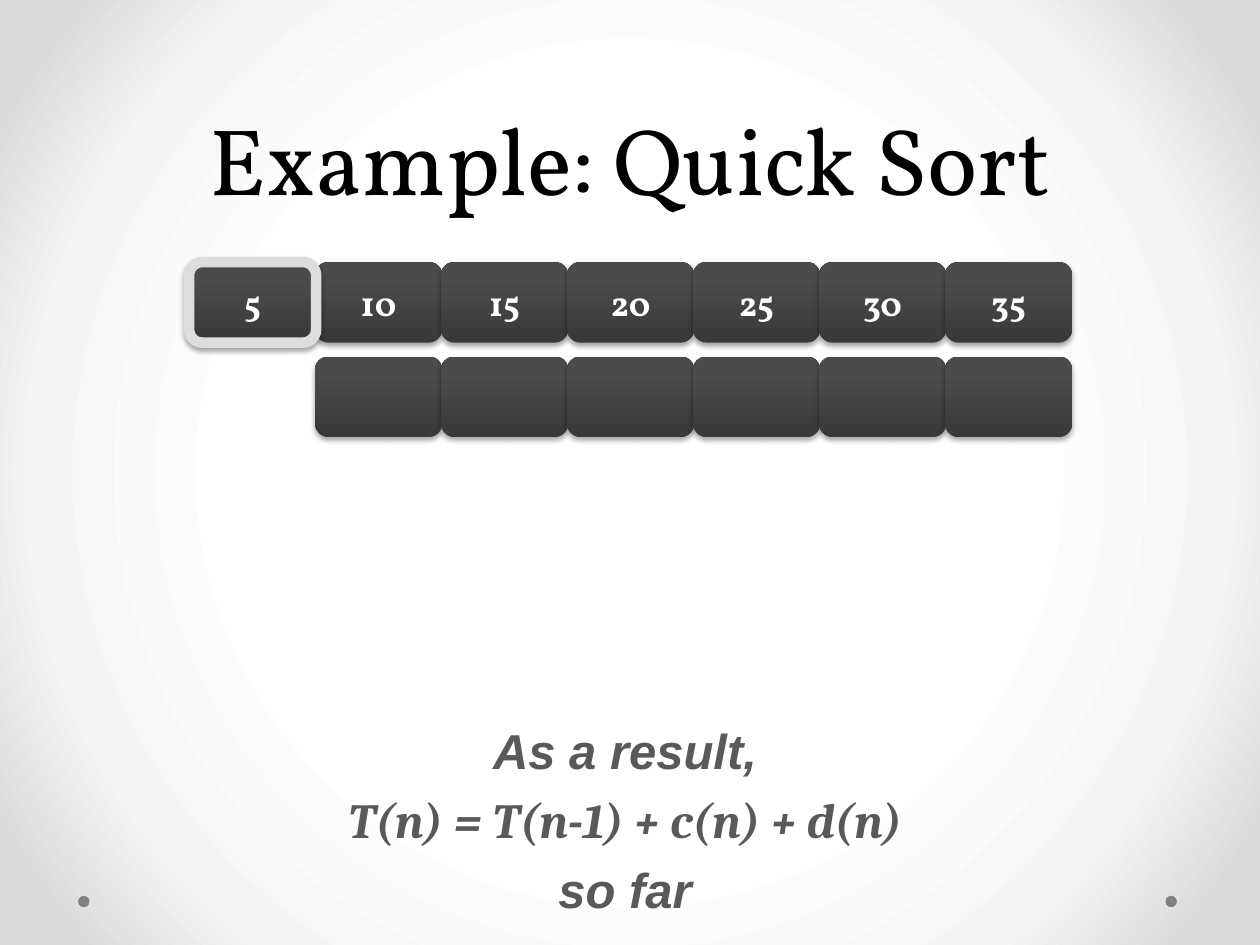
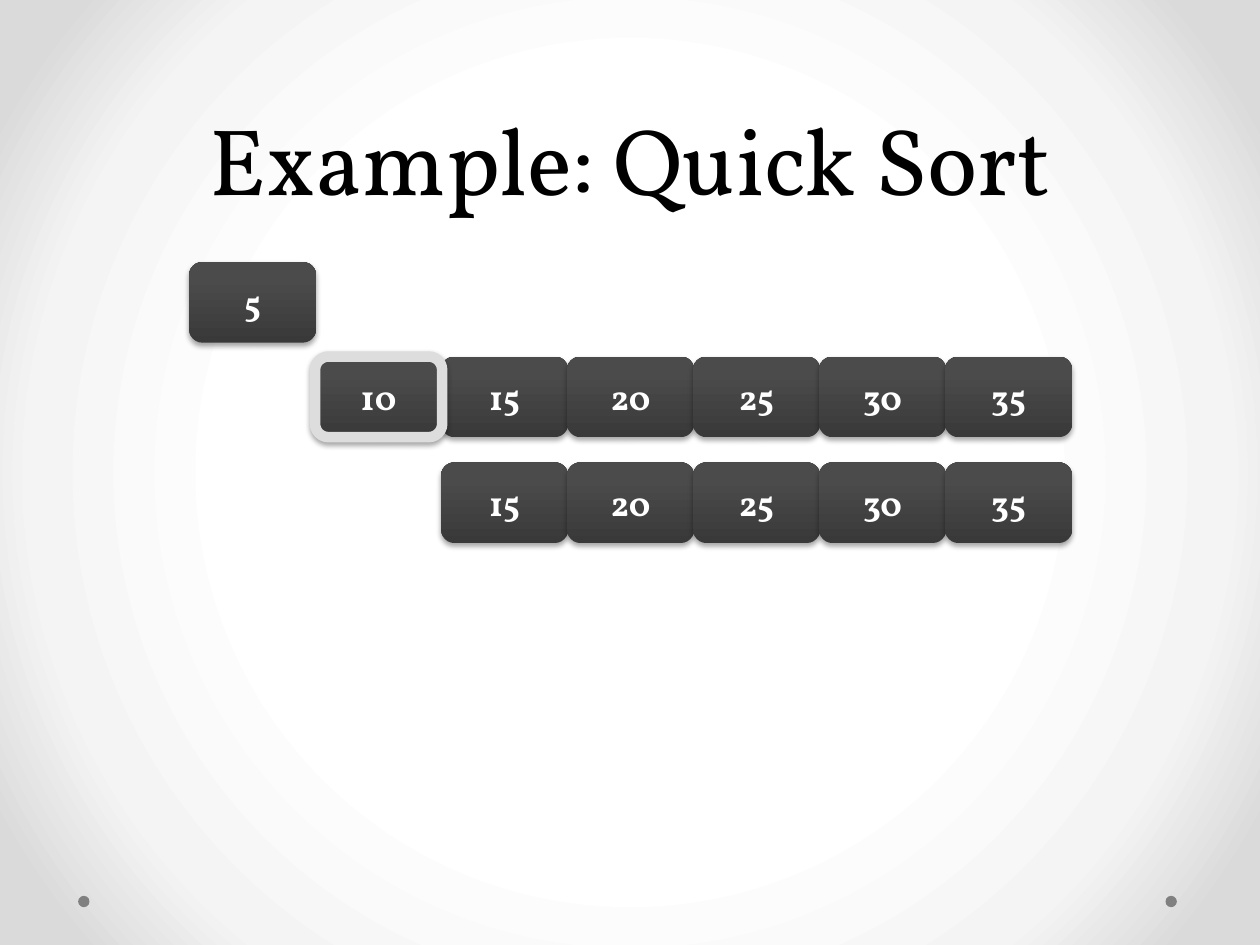
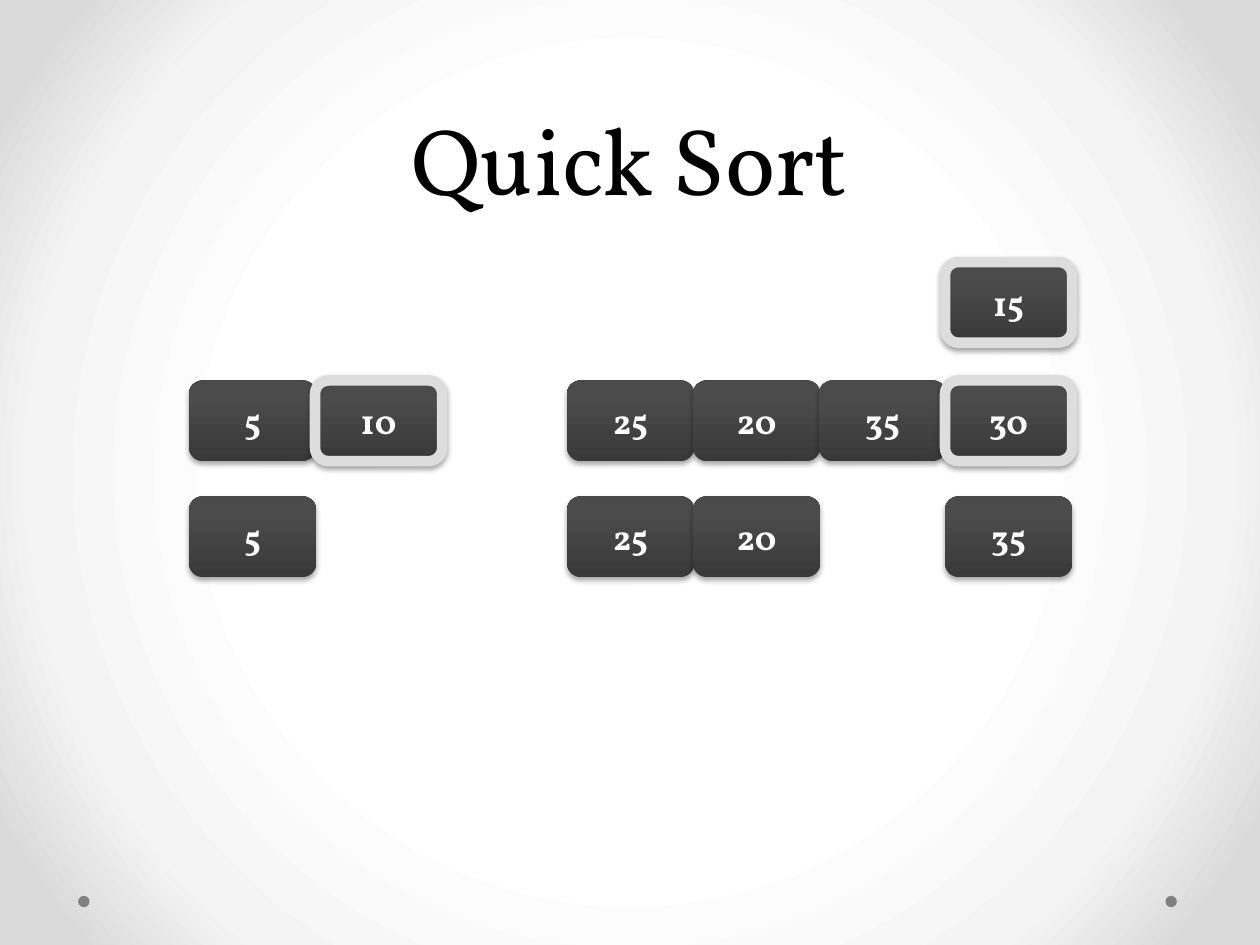
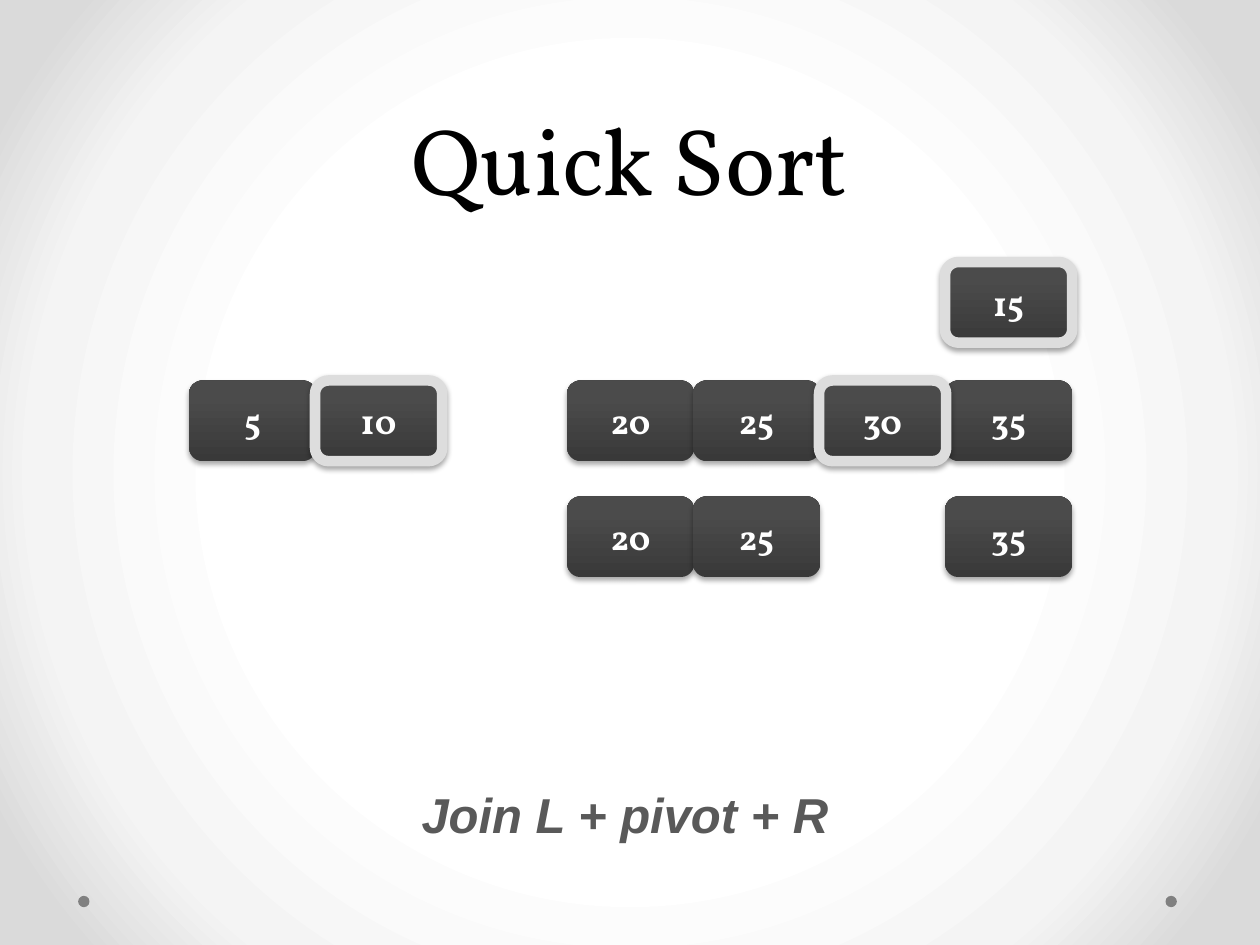
from pptx import Presentation
from pptx.dml.color import RGBColor
from pptx.enum.shapes import MSO_SHAPE
from pptx.enum.text import MSO_ANCHOR, MSO_AUTO_SIZE, PP_ALIGN
from pptx.oxml import parse_xml
from pptx.oxml.ns import nsdecls, qn
from pptx.util import Inches, Pt

# Shared look
BLACK, WHITE, DOT, CAPTION = "000000", "FFFFFF", "808080", "595959"
TILE_BOTTOM, TILE_TOP, PIVOT_LINE = "393939", "4B4B4B", "DDDDDD"
BACKGROUND = [(50, "FFFFFF"), (76, "F4F4F4"), (92, "DADADA")]
SERIF, SANS, MATH = "Vollkorn", "Arial", "Cambria"

# Tile grid, in inches
GRID_LEFT, COLUMN, TILE_W, TILE_H = 1.5, 1, 1.01, 0.64
TIGHT_ROWS = (2.08, 2.83, 3.67)
WIDE_ROWS = (2.08, 3.02, 3.94)


def rgb(value):
    return RGBColor.from_string(value)


def place(shape, left, top, width, height):
    shape.left, shape.top = Inches(left), Inches(top)
    shape.width, shape.height = Inches(width), Inches(height)


def style(p, font, size, color, bold=False, italic=False):
    p.alignment = PP_ALIGN.CENTER
    p.font.name, p.font.size = font, Pt(size)
    p.font.bold, p.font.italic = bold, italic
    p.font.color.rgb = rgb(color)


def set_background(master):
    """Radial gradient behind every slide."""
    stops = "".join(f'<a:gs pos="{pos * 1000}"><a:srgbClr val="{color}"/></a:gs>'
                    for pos, color in BACKGROUND)
    bg = parse_xml(
        f'<p:bg {nsdecls("p", "a")}><p:bgPr><a:gradFill rotWithShape="1">'
        f'<a:gsLst>{stops}</a:gsLst><a:path path="circle">'
        '<a:fillToRect l="50000" t="50000" r="50000" b="50000"/></a:path>'
        '</a:gradFill><a:effectLst/></p:bgPr></p:bg>')
    c_sld = master.element.find(qn("p:cSld"))
    for old in c_sld.findall(qn("p:bg")):
        c_sld.remove(old)
    c_sld.insert(0, bg)


def add_master_dots(master, slide):
    """Draw the two corner dots and hand them over to the master."""
    tree = master.shapes.element
    for i, left in enumerate((9.25, 0.62)):
        dot = slide.shapes.add_shape(MSO_SHAPE.OVAL, Inches(left), Inches(7.11),
                                     Inches(0.09), Inches(0.09))
        dot.shadow.inherit = False
        dot.fill.solid()
        dot.fill.fore_color.rgb = rgb(DOT)
        dot.line.fill.background()
        dot.element.nvSpPr.cNvPr.set("id", str(100 + i))
        tree.insert(2 + i, dot.element)


def add_title(slide, text):
    title = slide.shapes.title
    title.text_frame.text = text
    p = title.text_frame.paragraphs[0]
    style(p, SERIF, 54, BLACK)
    p.line_spacing = Pt(58)


def add_tile(slide, left, top, text, pivot):
    sp = slide.shapes.add_shape(MSO_SHAPE.ROUNDED_RECTANGLE, Inches(left), Inches(top),
                                Inches(TILE_W), Inches(TILE_H))
    sp.fill.gradient()
    sp.fill.gradient_angle = 90
    for stop, pos, color in zip(sp.fill.gradient_stops, (0, 0.8), (TILE_BOTTOM, TILE_TOP)):
        stop.position, stop.color.rgb = pos, rgb(color)
    if pivot:
        sp.line.color.rgb = rgb(PIVOT_LINE)
        sp.line.width = Pt(6)
    else:
        sp.line.fill.background()
    # Soft shadow straight below
    sp.shadow.inherit = False
    sp.element.spPr.find(qn("a:effectLst")).append(parse_xml(
        f'<a:outerShdw {nsdecls("a")} blurRad="{Pt(3.1)}" dist="{Pt(1.8)}" dir="5400000" '
        f'rotWithShape="0"><a:srgbClr val="{BLACK}"><a:alpha val="35000"/></a:srgbClr>'
        '</a:outerShdw>'))
    if text:
        tf = sp.text_frame
        tf.vertical_anchor = MSO_ANCHOR.MIDDLE
        tf.text = text
        style(tf.paragraphs[0], SERIF, 20, WHITE, bold=True)


def add_row(slide, top, cells):
    """One token a column: '.' no tile, '_' blank tile, '*' marks a pivot."""
    tiles = [(col, cell) for col, cell in enumerate(cells.split()) if cell != "."]
    # Pivots go last, so that their outline lies on top
    for col, cell in sorted(tiles, key=lambda tile: tile[1].startswith("*")):
        add_tile(slide, GRID_LEFT + col * COLUMN, top, cell.strip("*_"),
                 cell.startswith("*"))


def add_caption(slide, top, height, lines, space_after=0):
    box = slide.shapes.add_textbox(Inches(2.17), Inches(top), Inches(5.58), Inches(height))
    tf = box.text_frame
    tf.word_wrap = True
    tf.auto_size = MSO_AUTO_SIZE.SHAPE_TO_FIT_TEXT
    tf.text = "\n".join(text for text, _ in lines)
    for p, (_, font) in zip(tf.paragraphs, lines):
        style(p, font, 28, CAPTION, bold=True, italic=True)
        p.space_after = Pt(space_after)


def add_sort_slide(prs, title, tops, rows):
    slide = prs.slides.add_slide(prs.slide_layouts[5])
    add_title(slide, title)
    for top, cells in zip(tops, rows):
        add_row(slide, top, cells)
    return slide


prs = Presentation()
prs.slide_width, prs.slide_height = Inches(10), Inches(7.5)

# Master: background and title box
master = prs.slide_master
set_background(master)
master_title = master.placeholders[0]
place(master_title, 0.5, 0, 9, 1.75)
master_title.text_frame.vertical_anchor = MSO_ANCHOR.BOTTOM

# Slide 1: smallest value as pivot
s = add_sort_slide(prs, "Example: Quick Sort", TIGHT_ROWS,
                   ["*5 10 15 20 25 30 35", ". _ _ _ _ _ _"])
add_caption(s, 5.67, 1.68, [("As a result,", SANS),
                            ("T(n) = T(n-1) + c(n) + d(n)", MATH),
                            ("so far", SANS)], space_after=6)
add_master_dots(master, s)

# Slide 2: next pivot
add_sort_slide(prs, "Example: Quick Sort", TIGHT_ROWS,
               ["5", ". *10 15 20 25 30 35", ". . 15 20 25 30 35"])

# Slide 3: split into left and right
add_sort_slide(prs, "Quick Sort", WIDE_ROWS,
               [". . . . . . *15", "5 *10 . 25 20 35 *30", "5 . . 25 20 . 35"])

# Slide 4: join the parts
s = add_sort_slide(prs, "Quick Sort", WIDE_ROWS,
                   [". . . . . . *15", "5 *10 . 20 25 *30 35", ". . . 20 25 . 35"])
add_caption(s, 6.18, 0.57, [("Join L + pivot + R", SANS)])

prs.save("out.pptx")
